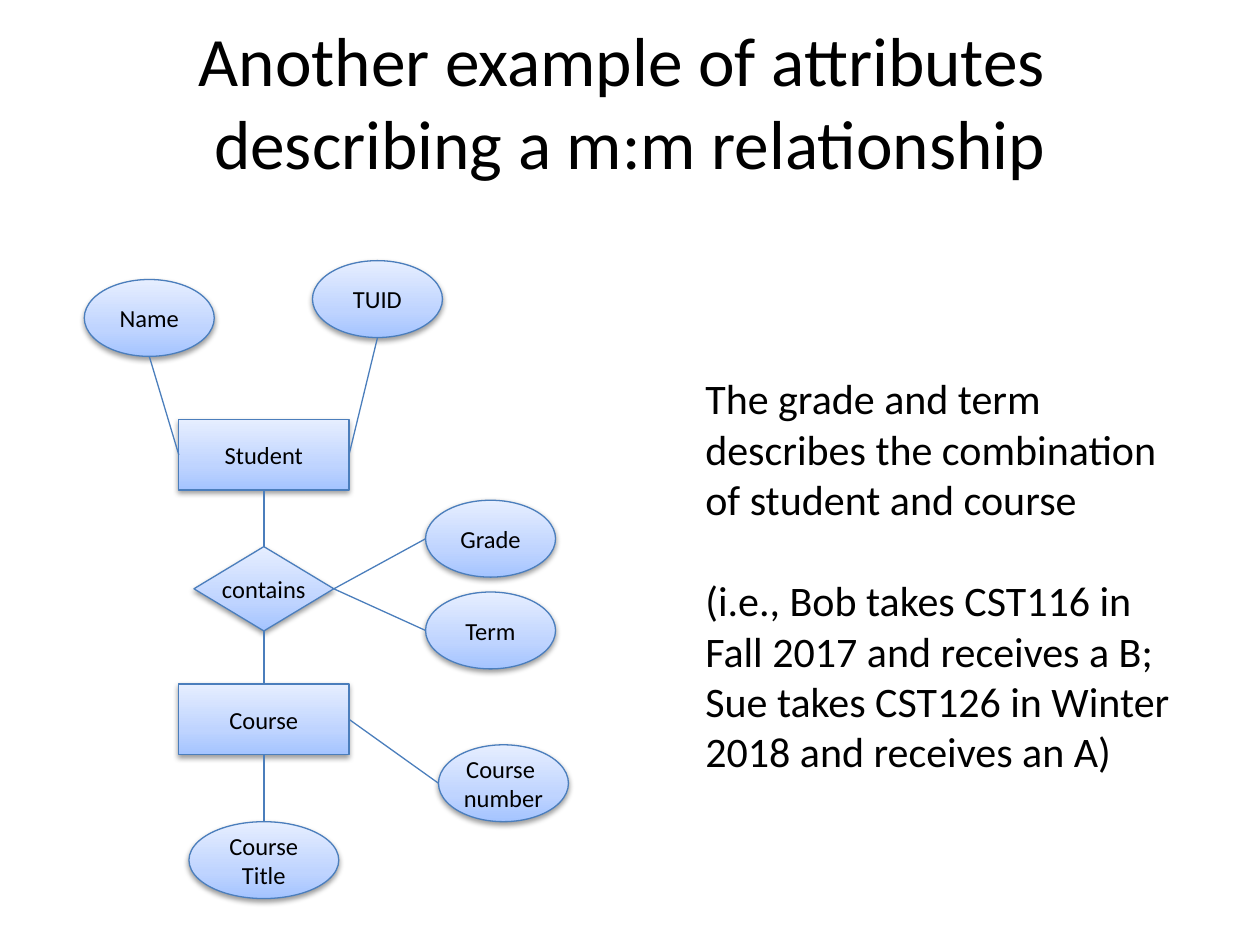
from dataclasses import dataclass

from lxml import etree
from pptx import Presentation
from pptx import util as u
from pptx.dml.color import RGBColor
from pptx.enum import shapes, text
from pptx.oxml import parse_xml
from pptx.oxml.ns import nsdecls, qn


@dataclass(frozen=True)
class Theme:
    font: str = "Calibri"
    ink: str = "000000"
    outline: str = "4B7EBC"
    gradient: tuple = ((0, "A4C4FF"), (35, "BFD4FF"), (100, "E6EEFF"))
    title_size: float = 39.6
    body_size: float = 24
    label_size: float = 14
    line_width: float = 0.75


THEME = Theme()
KINDS = {
    "entity": (shapes.MSO_SHAPE.RECTANGLE, 3.43, 1.42),
    "relationship": (shapes.MSO_SHAPE.DIAMOND, 2.82, 1.7),
    "attribute": (shapes.MSO_SHAPE.OVAL, 2.62, 1.55),
    "wide attribute": (shapes.MSO_SHAPE.OVAL, 3.02, 1.55),
}
AXIS = 5.32  # shared centre of the entity column
ATTRIBUTE_X = 9.89

# key: kind, label, centre x, centre y, wraps
NODES = {
    "student": ("entity", "Student", AXIS, 9.17, True),
    "title": ("wide attribute", "Course Title", AXIS, 17.34, True),
    "number": ("attribute", "Course \vnumber", 10.15, 15.79, False),
    "tuid": ("attribute", "TUID", 7.61, 6.03, True),
    "name": ("attribute", "Name", 3.01, 6.41, False),
    "course": ("entity", "Course", AXIS, 14.5, True),
    "contains": ("relationship", "contains", AXIS, 11.87, False),
    "grade": ("attribute", "Grade", ATTRIBUTE_X, 10.86, False),
    "term": ("attribute", "Term", ATTRIBUTE_X, 12.71, False),
}
LINKS = [
    ("student", "left", "name", "bottom"),
    ("student", "right", "tuid", "bottom"),
    ("course", "bottom", "title", "top"),
    ("course", "right", "number", "left"),
    ("course", "top", "contains", "bottom"),
    ("contains", "top", "student", "bottom"),
    ("contains", "right", "grade", "left"),
    ("contains", "right", "term", "left"),
]
SIDES = {"left": (0, 0.5), "right": (1, 0.5), "top": (0.5, 0), "bottom": (0.5, 1)}
NOTES = [
    "The grade and term describes the combination of student and course",
    "(i.e., Bob takes CST116 in Fall 2017 and receives a B; "
    "Sue takes CST126 in Winter 2018 and receives an A)",
]


def set_attributes(target, **values):
    for name, value in values.items():
        setattr(target, name, value)


def write(paragraph, words, size, alignment):
    paragraph.text = words
    paragraph.alignment = alignment
    for run in paragraph.runs:
        set_attributes(run.font, name=THEME.font, size=u.Pt(size))
        run.font.color.rgb = RGBColor.from_string(THEME.ink)


def style_line(line):
    line.color.rgb = RGBColor.from_string(THEME.outline)
    line.width = u.Pt(THEME.line_width)


def fill_gradient(shape):
    """Fill from the darkest stop at the bottom to the lightest at the top."""
    shape.fill.gradient()
    shape.fill.gradient_angle = 90
    stops = shape._element.spPr.find(".//" + qn("a:gsLst"))
    for stop in list(stops):
        stops.remove(stop)
    for position, color in THEME.gradient:
        stop = etree.SubElement(stops, qn("a:gs"), pos=str(position * 1000))
        etree.SubElement(stop, qn("a:srgbClr"), val=color)


def add_soft_shadow(shape):
    shape.shadow.inherit = False
    effects = shape._element.spPr.find(qn("a:effectLst"))
    effects.append(parse_xml(
        f'<a:outerShdw {nsdecls("a")} blurRad="{u.Pt(3.1)}" dist="{u.Pt(1.6)}" '
        'dir="5400000" rotWithShape="0"><a:srgbClr val="000000">'
        '<a:alpha val="38000"/></a:srgbClr></a:outerShdw>'))


def add_node(slide, kind, label, center_x, center_y, wraps):
    preset, width, height = KINDS[kind]
    shape = slide.shapes.add_shape(
        preset, u.Cm(center_x - width / 2), u.Cm(center_y - height / 2),
        u.Cm(width), u.Cm(height))
    fill_gradient(shape)
    style_line(shape.line)
    add_soft_shadow(shape)
    frame = shape.text_frame
    set_attributes(frame, word_wrap=wraps, vertical_anchor=text.MSO_ANCHOR.MIDDLE)
    write(frame.paragraphs[0], label, THEME.label_size, text.PP_ALIGN.CENTER)


def side_point(node, side):
    kind, _, center_x, center_y, _ = NODES[node]
    _, width, height = KINDS[kind]
    across, down = SIDES[side]
    return (u.Cm(center_x + (across - 0.5) * width),
            u.Cm(center_y + (down - 0.5) * height))


def add_link(slide, start, start_side, end, end_side):
    connector = slide.shapes.add_connector(
        shapes.MSO_CONNECTOR.STRAIGHT,
        *side_point(start, start_side), *side_point(end, end_side))
    style_line(connector.line)
    etree.SubElement(connector._element.spPr, qn("a:effectLst"))


def add_title(slide, words):
    title = slide.shapes.title
    set_attributes(title, left=u.Cm(0), top=u.Cm(0.43),
                   width=u.Cm(25.4), height=u.Cm(3.18))
    set_attributes(title.text_frame, auto_size=text.MSO_AUTO_SIZE.NONE,
                   vertical_anchor=text.MSO_ANCHOR.MIDDLE)
    write(title.text_frame.paragraphs[0], words, THEME.title_size,
          text.PP_ALIGN.CENTER)


def add_notes(slide):
    box = slide.shapes.add_textbox(u.Cm(13.97), u.Cm(7.39), u.Cm(10.36), u.Cm(8.46))
    frame = box.text_frame
    set_attributes(frame, word_wrap=True,
                   auto_size=text.MSO_AUTO_SIZE.SHAPE_TO_FIT_TEXT)
    first, second = frame.paragraphs[0], frame.add_paragraph()
    for paragraph, words in zip((first, second), NOTES):
        write(paragraph, words, THEME.body_size, text.PP_ALIGN.LEFT)
    second.space_before = u.Pt(29)


def main():
    presentation = Presentation()
    set_attributes(presentation, slide_width=u.Cm(25.4), slide_height=u.Cm(19.05))
    slide = presentation.slides.add_slide(presentation.slide_layouts[5])
    add_title(slide, "Another example of attributes \vdescribing a m:m relationship")
    for node in NODES.values():
        add_node(slide, *node)
    for link in LINKS:
        add_link(slide, *link)
    add_notes(slide)
    presentation.save("out.pptx")


if __name__ == "__main__":
    main()
